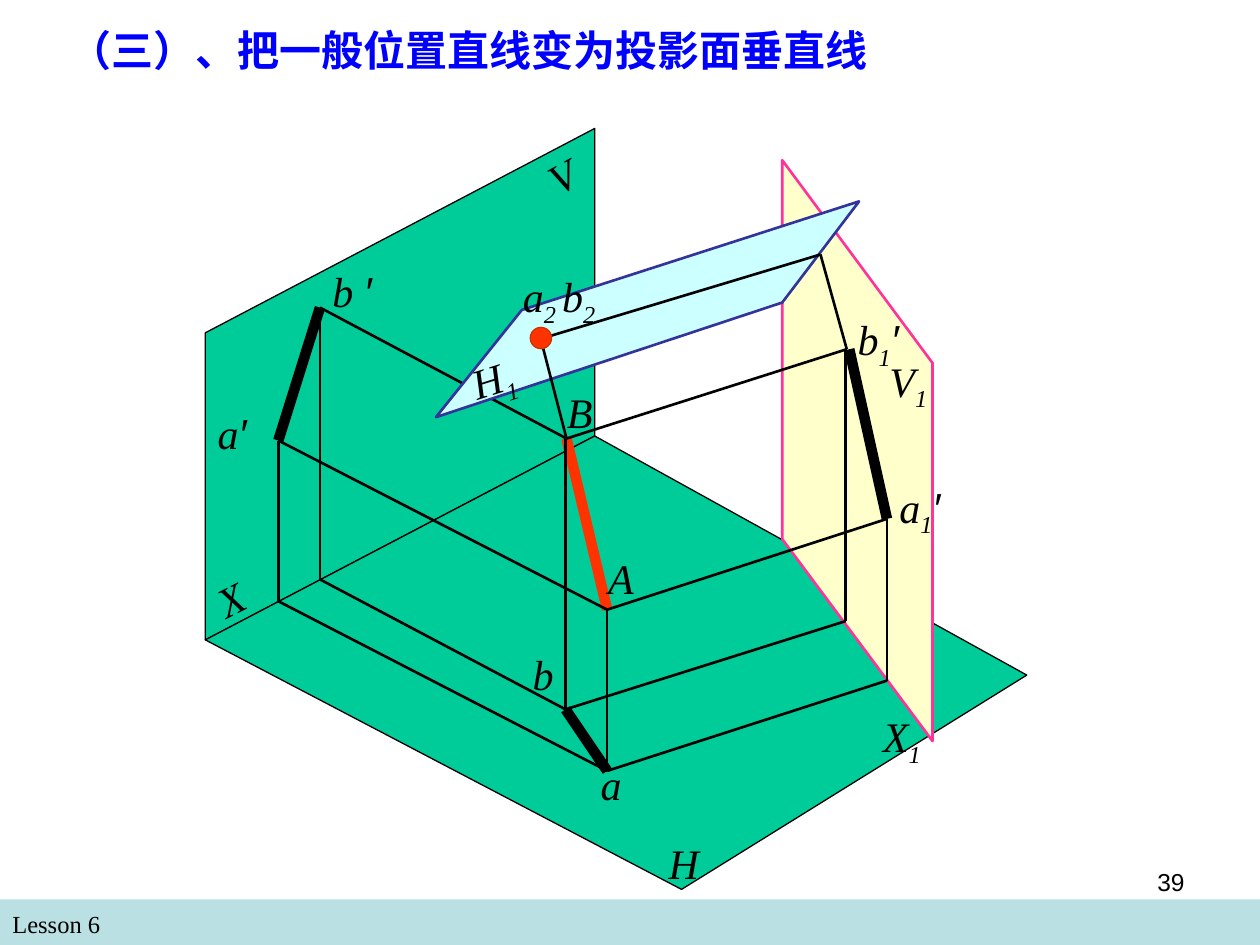
from typing import NamedTuple

from lxml import etree
from pptx import Presentation
from pptx import util as u
from pptx.dml.color import RGBColor
from pptx.enum import shapes, text
from pptx.oxml import ns

BLACK = RGBColor(0x00, 0x00, 0x00)
BLUE = RGBColor(0x00, 0x00, 0xFF)
GREEN = RGBColor(0x00, 0xCC, 0x99)
CREAM = RGBColor(0xFF, 0xFF, 0xCC)
PINK = RGBColor(0xFF, 0x33, 0x99)
ICE = RGBColor(0xCC, 0xFF, 0xFF)
NAVY = RGBColor(0x33, 0x33, 0x99)
RED = RGBColor(0xFF, 0x33, 0x00)
DARK_RED = RGBColor(0xCC, 0x33, 0x00)
FOOTER_BLUE = RGBColor(0xBB, 0xE0, 0xE3)

SERIF = "Times New Roman"
SANS = "Arial"
CHINESE = "Noto Sans CJK SC"
THIN = 1.5
THICK = 6


class Point(NamedTuple):
    x: float
    y: float


class Plane(NamedTuple):
    corners: tuple[Point, ...]
    fill: RGBColor
    outline: RGBColor
    width: float


class Segment(NamedTuple):
    start: Point
    end: Point
    width: float = THIN
    color: RGBColor = BLACK


class Label(NamedTuple):
    pieces: tuple[str, ...]
    left: float
    top: float
    width: float
    rotation: float = 0


A_SPACE, B_SPACE = Point(12.24, 12.29), Point(11.42, 8.84)
A_FRONT, B_FRONT = Point(5.61, 8.88), Point(6.45, 6.2)
A_TOP, B_TOP = Point(12.24, 15.54), Point(11.4, 14.3)
A_AXIS, B_AXIS = Point(5.61, 12.12), Point(6.45, 11.68)
A_NEW, B_NEW = Point(17.88, 10.46), Point(17.07, 7.04)
A_NEW_AXIS, B_NEW_AXIS = Point(17.88, 13.72), Point(17.05, 12.52)
AB_POINT, AB_AXIS = Point(10.9, 6.83), Point(16.54, 5.13)
ORIGIN, AXIS_END = Point(11.99, 8.79), Point(4.14, 12.9)

MAIN_PLANES = (
    Plane((Point(11.99, 2.59), ORIGIN, AXIS_END, Point(4.14, 6.71)), GREEN, BLACK, 0.75),
    Plane((ORIGIN, Point(20.7, 13.61), Point(13.74, 17.93), AXIS_END), GREEN, BLACK, 0.75),
)
NEW_PLANES = (
    Plane((Point(18.8, 14.94), Point(15.77, 10.87), Point(15.77, 3.23), Point(18.8, 7.32)),
          CREAM, PINK, THIN),
    Plane((Point(15.77, 6.1), Point(17.32, 4.06), Point(10.52, 6.25), Point(8.79, 8.41)),
          ICE, NAVY, THIN),
)
MAIN_SEGMENTS = (
    Segment(A_SPACE, B_SPACE, THICK, RED),
    Segment(A_SPACE, A_TOP),
    Segment(A_AXIS, A_TOP),
    Segment(A_FRONT, A_SPACE),
    Segment(Point(B_TOP.x, B_SPACE.y), B_TOP),
    Segment(B_AXIS, B_TOP),
    Segment(B_FRONT, B_AXIS),
    Segment(A_AXIS, A_FRONT),
    Segment(B_FRONT, B_SPACE),
    Segment(A_FRONT, B_FRONT, THICK),
    Segment(B_TOP, A_TOP, THICK),
)
NEW_SEGMENTS = (
    Segment(AB_POINT, AB_AXIS),
    Segment(B_NEW, AB_AXIS),
    Segment(B_SPACE, AB_POINT),
    Segment(A_NEW, Point(17.12, B_NEW.y), THICK),
    Segment(B_SPACE, B_NEW),
    Segment(A_TOP, A_NEW_AXIS),
    Segment(A_SPACE, A_NEW),
    Segment(B_TOP, B_NEW_AXIS),
    Segment(Point(B_NEW_AXIS.x, B_NEW.y), B_NEW_AXIS),
    Segment(A_NEW, A_NEW_AXIS),
)
LABELS = (
    Label(("X",), 4.11, 11.33, 1.52, -27),
    Label(("H",), 13.23, 16.76, 1.27),
    Label(("a", "′"), 4.14, 8.1, 2.03),
    Label(("A",), 12.01, 11.02, 1.27),
    Label(("a",), 11.86, 15.16, 2.03),
    Label(("b ", "′"), 6.45, 5.23, 2.03),
    Label(("b",), 10.49, 12.95, 2.03),
    Label(("B",), 11.18, 7.67, 1.27),
    Label(("V",), 10.8, 2.84, 1.27, -28.8),
    Label(("V", "1"), 17.68, 7.04, 2.21),
    Label(("X", "1"), 17.55, 14.2, 2.54),
    Label(("H", "1"), 9.27, 6.96, 1.57, -17.6),
    Label(("a", "2 ", "b", "2"), 10.29, 5.33, 3.18),
    Label(("a", "1", "′"), 17.88, 9.58, 1.78),
    Label(("b", "1", "′"), 17.04, 6.2, 1.78),
)


def style_font(font, name: str, size: float, color: RGBColor) -> None:
    font.name, font.size, font.color.rgb = name, u.Pt(size), color


def style_shape(shape, fill: RGBColor, outline: RGBColor, width: float) -> None:
    shape.shadow.inherit = False
    shape.fill.solid()
    shape.fill.fore_color.rgb = fill
    shape.line.color.rgb = outline
    shape.line.width = u.Pt(width)


def draw_plane(slide, plane: Plane) -> None:
    points = [(u.Cm(x), u.Cm(y)) for x, y in plane.corners]
    builder = slide.shapes.build_freeform(*points[0])
    builder.add_line_segments(points[1:], close=True)
    style_shape(builder.convert_to_shape(), plane.fill, plane.outline, plane.width)


def draw_segment(slide, segment: Segment) -> None:
    ends = [u.Cm(value) for value in (*segment.start, *segment.end)]
    connector = slide.shapes.add_connector(shapes.MSO_CONNECTOR.STRAIGHT, *ends)
    connector.line.color.rgb = segment.color
    connector.line.width = u.Pt(segment.width)
    etree.SubElement(connector._element.spPr, ns.qn("a:effectLst"))


def add_box(slide, left: float, top: float, width: float, height: float):
    box = slide.shapes.add_textbox(u.Cm(left), u.Cm(top), u.Cm(width), u.Cm(height))
    box.text_frame.word_wrap = True
    return box


def draw_label(slide, label: Label) -> None:
    subscripted = any(piece.strip().isdigit() for piece in label.pieces)
    box = add_box(slide, label.left, label.top, label.width, 1.42 if subscripted else 1.27)
    box.rotation = label.rotation
    for piece in label.pieces:
        run = box.text_frame.paragraphs[0].add_run()
        run.text = piece
        style_font(run.font, SANS if piece == "′" else SERIF, 24, BLACK)
        run.font.italic = True
        if piece.strip().isdigit():
            run._r.get_or_add_rPr().set("baseline", "-25000")


def draw_note(slide, words: str, font: str, align, *place: float) -> None:
    paragraph = add_box(slide, *place).text_frame.paragraphs[0]
    paragraph.text = words
    paragraph.alignment = align
    style_font(paragraph.runs[0].font, font, 14, BLACK)


def draw_title(slide, words: str) -> None:
    title = slide.shapes.title
    title.left, title.top, title.width, title.height = map(u.Cm, (1.14, 0.36, 16.82, 1.27))
    frame = title.text_frame
    frame.text = words
    frame.word_wrap = False
    frame.auto_size = text.MSO_AUTO_SIZE.NONE
    frame.vertical_anchor = text.MSO_ANCHOR.TOP
    frame.paragraphs[0].alignment = text.PP_ALIGN.LEFT
    run = frame.paragraphs[0].runs[0]
    style_font(run.font, CHINESE, 24, BLUE)
    run.font.bold = True
    etree.SubElement(run._r.get_or_add_rPr(), ns.qn("a:ea"), typeface=CHINESE)


def main() -> None:
    presentation = Presentation()
    presentation.slide_width, presentation.slide_height = u.Cm(25.4), u.Cm(19.05)
    slide = presentation.slides.add_slide(presentation.slide_layouts[5])
    footer = slide.shapes.add_shape(
        shapes.MSO_SHAPE.RECTANGLE, 0, u.Cm(18.13), u.Cm(25.4), u.Cm(0.92))
    style_shape(footer, FOOTER_BLUE, FOOTER_BLUE, 0)
    footer.line.fill.background()
    draw_note(slide, "Lesson 6", SERIF, text.PP_ALIGN.LEFT, 0, 18.21, 12.27, 0.86)
    for planes, segments in ((MAIN_PLANES, MAIN_SEGMENTS), (NEW_PLANES, NEW_SEGMENTS)):
        for plane in planes:
            draw_plane(slide, plane)
        for segment in segments:
            draw_segment(slide, segment)
    dot = slide.shapes.add_shape(
        shapes.MSO_SHAPE.OVAL, u.Cm(10.69), u.Cm(6.6), u.Cm(0.43), u.Cm(0.43))
    style_shape(dot, RED, DARK_RED, 0.75)
    for label in LABELS:
        draw_label(slide, label)
    draw_title(slide, "（三）、把一般位置直线变为投影面垂直线")
    draw_note(slide, "39", SANS, text.PP_ALIGN.RIGHT, 18.21, 17.35, 5.92, 1.32)
    presentation.save("out.pptx")


if __name__ == "__main__":
    main()
